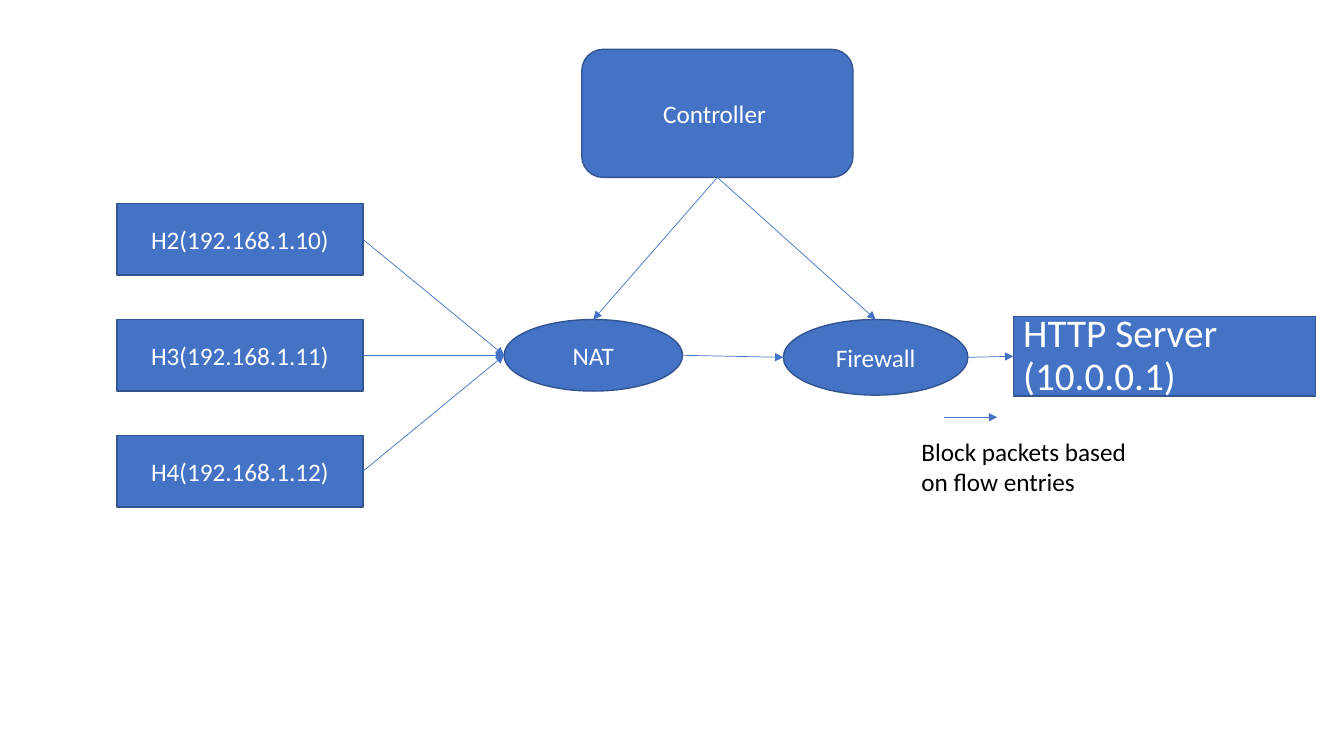
import pptx
import pptx.util
import pptx.dml.color
import pptx.enum.shapes
import pptx.enum.text
import pptx.oxml.ns
from lxml import etree

Inches, Pt = pptx.util.Inches, pptx.util.Pt
SHAPE = pptx.enum.shapes.MSO_SHAPE
ALIGN = pptx.enum.text.PP_ALIGN
qn = pptx.oxml.ns.qn

COLORS = {"node": "4472C4", "outline": "325491", "light": "FFFFFF", "dark": "000000"}
NODE_TEXT = {"alignment": ALIGN.CENTER}
SERVER_TEXT = {"alignment": ALIGN.LEFT, "line_spacing": 0.9, "space_before": Pt(10)}
NOTE_TEXT = {"alignment": ALIGN.LEFT}


def rgb(name):
    return pptx.dml.color.RGBColor.from_string(COLORS[name])


def write(frame, text, size, color, paragraph_format):
    frame.word_wrap = True
    paragraph = frame.paragraphs[0]
    paragraph.text = text
    for attribute, value in paragraph_format.items():
        setattr(paragraph, attribute, value)
    for run in paragraph.runs:
        for attribute, value in {"name": "Calibri", "size": Pt(size)}.items():
            setattr(run.font, attribute, value)
        run.font.color.rgb = rgb(color)


def add_node(slide, kind, box, text, size=18, paragraph_format=NODE_TEXT):
    node = slide.shapes.add_shape(kind, *map(Inches, box))
    node.shadow.inherit = False
    node.fill.solid()
    node.fill.fore_color.rgb = rgb("node")
    node.line.color.rgb = rgb("outline")
    node.line.width = Pt(1)
    node.text_frame.vertical_anchor = pptx.enum.text.MSO_ANCHOR.MIDDLE
    write(node.text_frame, text, size, "light", paragraph_format)
    return node


def side(node, name):
    """Midpoint of one side of a node."""
    across, down = {"top": (0.5, 0), "bottom": (0.5, 1),
                    "left": (0, 0.5), "right": (1, 0.5)}[name]
    return int(node.left + across * node.width), int(node.top + down * node.height)


def add_arrow(slide, start, end):
    arrow = slide.shapes.add_connector(
        pptx.enum.shapes.MSO_CONNECTOR.STRAIGHT, *start, *end)
    arrow.line.color.rgb = rgb("node")
    arrow.line.width = Pt(0.5)
    properties = arrow.element.spPr
    etree.SubElement(properties.find(qn("a:ln")), qn("a:tailEnd"), type="triangle")
    etree.SubElement(properties, qn("a:effectLst"))


def add_hosts(slide, left, top, width, height):
    """Column of three hosts, evenly spaced in the given box."""
    host_height = 0.71
    step = (height - host_height) / 2
    return [
        add_node(slide, SHAPE.RECTANGLE, (left, top + i * step, width, host_height),
                 f"H{i + 2}(192.168.1.{i + 10})")
        for i in range(3)
    ]


def add_network(slide, left, top, width, height):
    """Controller above the NAT, firewall and server row."""
    row = top + 2.68
    server = add_node(slide, SHAPE.RECTANGLE, (left + width - 3, row - 0.03, 3, 0.79),
                      "HTTP Server\n(10.0.0.1)", 28, SERVER_TEXT)
    nat = add_node(slide, SHAPE.OVAL, (left, row, 1.77, 0.71), "NAT")
    firewall = add_node(slide, SHAPE.OVAL, (left + 2.77, row, 1.83, 0.75), "Firewall")
    controller = add_node(slide, SHAPE.ROUNDED_RECTANGLE,
                          (left + 0.77, top, 2.69, 1.27), "Controller ")

    # Control links, then the packet path
    for switch in (nat, firewall):
        add_arrow(slide, side(controller, "bottom"), side(switch, "top"))
    for source, target in ((nat, firewall), (firewall, server)):
        add_arrow(slide, side(source, "right"), side(target, "left"))

    # Firewall rule
    rule_left, rule_top = left + 4.04, top + height - 0.71
    arrow_y = Inches(rule_top - 0.14)
    add_arrow(slide, (Inches(rule_left + 0.32), arrow_y),
              (Inches(rule_left + 0.85), arrow_y))
    rule = slide.shapes.add_textbox(*map(Inches, (rule_left, rule_top, 2.25, 0.71)))
    write(rule.text_frame, "Block packets based on flow entries", 18, "dark", NOTE_TEXT)
    return nat


def main():
    presentation = pptx.Presentation()
    presentation.slide_width = Inches(13.33)
    presentation.slide_height = Inches(7.5)
    slide = presentation.slides.add_slide(presentation.slide_layouts[6])

    hosts = add_hosts(slide, 1.16, 2.02, 2.44, 3.01)
    nat = add_network(slide, 5, 0.49, 8.05, 4.5)
    for host in hosts:
        add_arrow(slide, side(host, "right"), side(nat, "left"))

    presentation.save("out.pptx")


if __name__ == "__main__":
    main()
